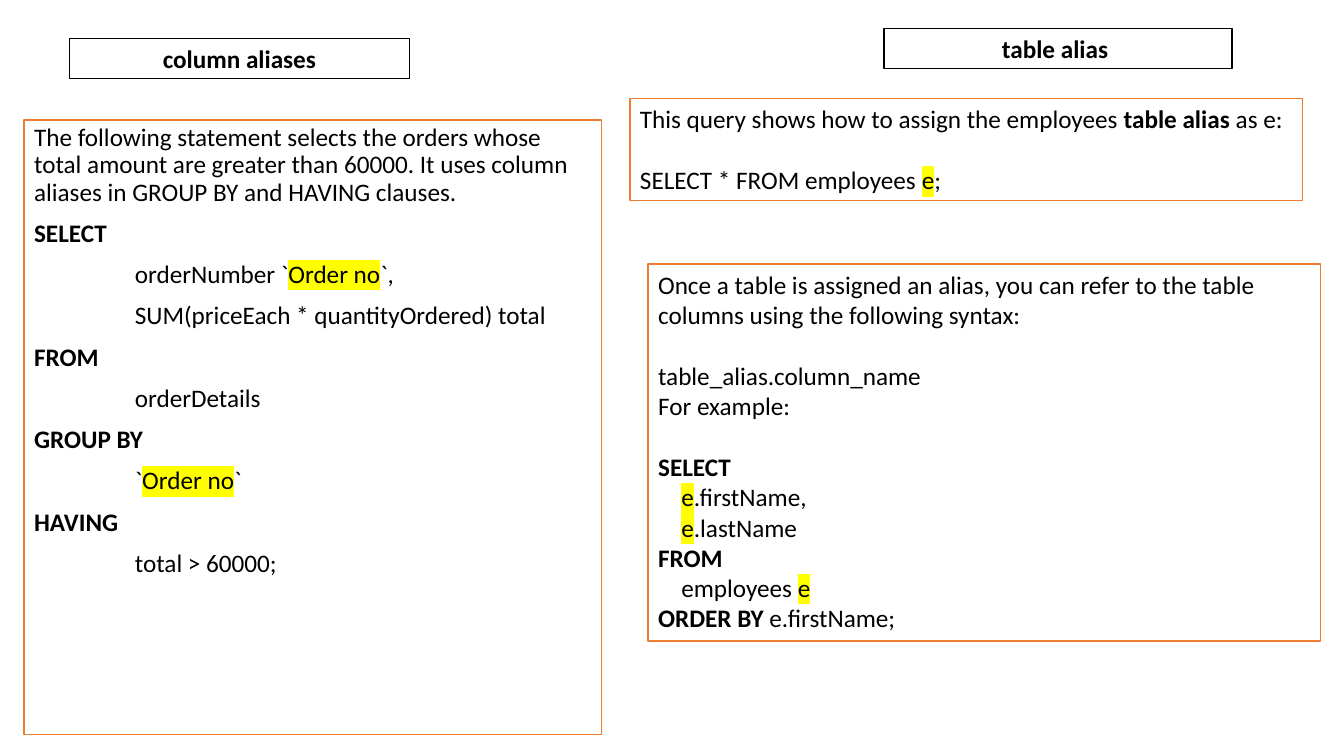
"""Build a slide on SQL column and table aliases."""
from lxml import etree
from pptx import Presentation
from pptx.dml.color import RGBColor
from pptx.enum.text import PP_ALIGN
from pptx.oxml.ns import qn
from pptx.util import Inches, Pt

LEFT, MID = PP_ALIGN.LEFT, PP_ALIGN.CENTER
WIDE, HIGH = Inches(13.333), Inches(7.5)
THEME = {"font": "Calibri", "size": Pt(18), "ink": "000000", "fill": "FFFFFF",
         "edge": "ED7D31", "mark": "FFFF00", "line": Pt(1)}
PLAIN, BOLD, MARK = "plain", "bold", "mark"
TAB, STEP, SKIP = Inches(1), Inches(0.23), Pt(22)
LOOSE = {"line_spacing": 0.9, "space_before": Pt(10)}


def say(text, kind=PLAIN, dent=0, gap=0):
    return dent, gap, [(text, kind)]


ORDER = ("Order no", MARK)
ALIAS = ("e", MARK)
COLUMN = [
    say("The following statement selects the orders whose total amount are greater "
        "than 60000. It uses column aliases in GROUP BY and HAVING clauses."),
    say("SELECT", BOLD),
    (TAB, 0, [("orderNumber `", PLAIN), ORDER, ("`,", PLAIN)]),
    say("SUM(priceEach * quantityOrdered) total", dent=TAB),
    say("FROM", BOLD),
    say("orderDetails", dent=TAB),
    say("GROUP BY", BOLD),
    (TAB, 0, [("`", PLAIN), ORDER, ("`", PLAIN)]),
    say("HAVING", BOLD),
    say("total > 60000;", dent=TAB),
]
QUERY = [
    (0, 0, [("This query shows how to assign the employees ", PLAIN),
            ("table alias ", BOLD), ("as e:", PLAIN)]),
    (0, SKIP, [("SELECT * FROM employees ", PLAIN), ALIAS, (";", PLAIN)]),
]
SYNTAX = [
    say("Once a table is assigned an alias, you can refer to the table columns "
        "using the following syntax:"),
    say("table_alias.column_name", gap=SKIP),
    say("For example:"),
    say("SELECT", BOLD, gap=SKIP),
    (STEP, 0, [ALIAS, (".firstName,", PLAIN)]),
    (STEP, 0, [ALIAS, (".lastName", PLAIN)]),
    say("FROM", BOLD),
    (STEP, 0, [("employees ", PLAIN), ALIAS]),
    (0, 0, [("ORDER BY ", BOLD), ("e.firstName;", PLAIN)]),
]
# fmt: off
BOXES = [
    ((1.8, 15.87, 42.98, 81.33), "edge", LEFT, LOOSE, COLUMN),
    ((46.88, 13.07, 50.03, 13.47), "edge", LEFT, {}, QUERY),
    ((48.23, 34.93, 50.03, 49.87), "edge", LEFT, {}, SYNTAX),
    ((65.78, 3.73, 25.88, 5.33), "ink", MID, {}, [say("table alias ", BOLD)]),
    ((5.18, 5.07, 25.28, 5.33), "ink", MID, {}, [say("column aliases", BOLD)]),
]


def tint(name):
    return RGBColor.from_string(THEME[name])


def put(thing, values):
    for name, value in values.items():
        setattr(thing, name, value)


def add_run(para, text, kind):
    run = para.add_run()
    run.text = text
    put(run.font, {"name": THEME["font"], "size": THEME["size"], "bold": kind == BOLD})
    run.font.fill.solid()
    run.font.fill.fore_color.rgb = tint("ink")
    if kind == MARK:
        mark = etree.Element(qn("a:highlight"))
        etree.SubElement(mark, qn("a:srgbClr")).set("val", THEME["mark"])
        run.font._element.find(qn("a:solidFill")).addnext(mark)


def add_box(slide, share, edge, align, form, lines):
    spot = [int(part * size / 100) for part, size in zip(share, (WIDE, HIGH) * 2)]
    box = slide.shapes.add_textbox(*spot)
    box.fill.solid()
    box.fill.fore_color.rgb = tint("fill")
    put(box.line, {"width": THEME["line"]})
    box.line.color.rgb = tint(edge)
    frame = box.text_frame
    frame.word_wrap = True
    for row, (dent, gap, runs) in enumerate(lines):
        para = frame.add_paragraph() if row else frame.paragraphs[0]
        put(para, {"alignment": align, "space_before": gap, **form})
        para._p.get_or_add_pPr().set("marL", str(dent))
        for text, kind in runs:
            add_run(para, text, kind)


def main():
    deck = Presentation()
    put(deck, {"slide_width": WIDE, "slide_height": HIGH})
    slide = deck.slides.add_slide(deck.slide_layouts[6])
    for box in BOXES:
        add_box(slide, *box)
    deck.save("out.pptx")


if __name__ == "__main__":
    main()
